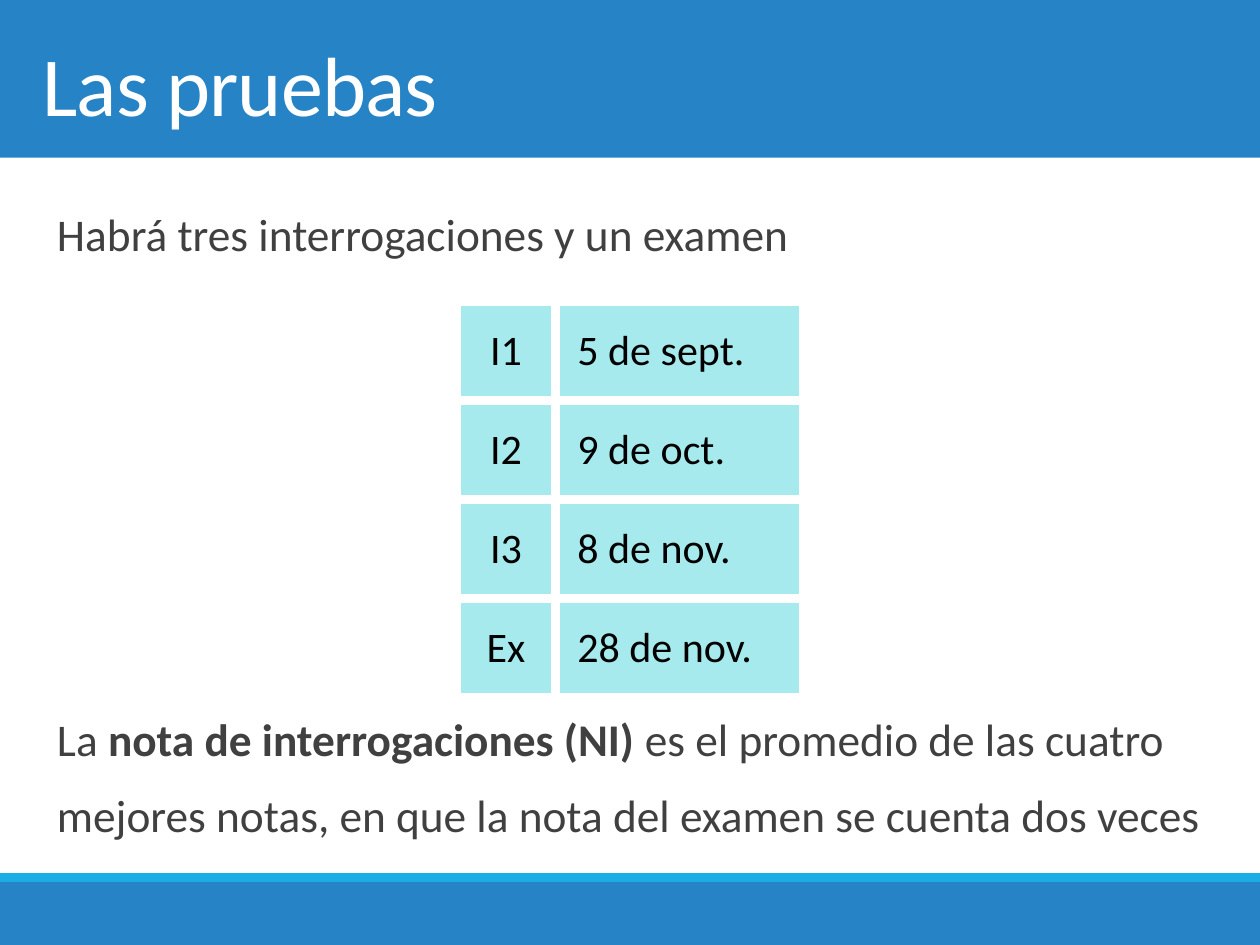
from lxml import etree
from pptx import Presentation
from pptx.dml.color import RGBColor
from pptx.enum import shapes, text
from pptx.oxml import ns
from pptx.util import Cm, Pt

BLUE = RGBColor(0x26, 0x83, 0xC6)
CYAN = RGBColor(0x1C, 0xAD, 0xE4)
AQUA = RGBColor(0xA6, 0xEA, 0xEE)
GREY = RGBColor(0x40, 0x40, 0x40)
WHITE = RGBColor(0xFF, 0xFF, 0xFF)
BLACK = RGBColor(0, 0, 0)
WIDTH = 25.4

DATES = [
    ("I1", "5 de sept."),
    ("I2", "9 de oct."),
    ("I3", "8 de nov."),
    ("Ex", "28 de nov."),
]


class Deck:
    font = "Calibri"

    def __init__(self, slide):
        self.slide = slide

    def style(self, run, size, color, bold=False):
        run.font.name = self.font
        run.font.size = Pt(size)
        run.font.color.rgb = color
        run.font.bold = bold

    def band(self, top, height, color):
        bar = self.slide.shapes.add_shape(
            shapes.MSO_SHAPE.RECTANGLE, 0, Cm(top), Cm(WIDTH), Cm(height))
        bar.shadow.inherit = False
        bar.fill.solid()
        bar.fill.fore_color.rgb = color
        bar.line.fill.background()

    def frame(self, left, top, width, height):
        """Add a wrapping text box without margins."""
        box = self.slide.shapes.add_textbox(
            Cm(left), Cm(top), Cm(width), Cm(height)).text_frame
        box.word_wrap = True
        box.margin_left = box.margin_right = 0
        box.margin_top = box.margin_bottom = 0
        return box

    def title(self, words):
        box = self.frame(0.86, 0.09, 23.5, 3.18)
        box.vertical_anchor = text.MSO_ANCHOR.MIDDLE
        box.text = words
        run = box.paragraphs[0].runs[0]
        self.style(run, 48, WHITE)
        run.font._element.set("spc", "-50")

    def body(self, top, height, *parts):
        """Add a paragraph from (words, bold) parts."""
        para = self.frame(1.15, top, 23.45, height).paragraphs[0]
        para.line_spacing = 1.4
        for words, bold in parts:
            run = para.add_run()
            run.text = words
            self.style(run, 25.9, GREY, bold)

    def border(self, cell, color, width):
        props = cell._tc.get_or_add_tcPr()
        for i, side in enumerate(("lnL", "lnR", "lnT", "lnB")):
            line = etree.Element(ns.qn("a:" + side), w=str(Pt(width)))
            fill = etree.SubElement(line, ns.qn("a:solidFill"))
            etree.SubElement(fill, ns.qn("a:srgbClr"), val=str(color))
            props.insert(i, line)

    def table(self, left, top, rows, widths, height):
        grid = self.slide.shapes.add_table(
            len(rows), len(widths), Cm(left), Cm(top),
            Cm(sum(widths)), Cm(height * len(rows))).table
        grid.first_row = grid.horz_banding = False
        for col, width in zip(grid.columns, widths):
            col.width = Cm(width)
        for r, row in enumerate(rows):
            grid.rows[r].height = Cm(height)
            for c, words in enumerate(row):
                cell = grid.cell(r, c)
                cell.text = words
                cell.vertical_anchor = text.MSO_ANCHOR.MIDDLE
                cell.fill.solid()
                cell.fill.fore_color.rgb = AQUA
                self.border(cell, WHITE, 6)
                para = cell.text_frame.paragraphs[0]
                self.style(para.runs[0], 24, BLACK)
                if c == 0:
                    para.alignment = text.PP_ALIGN.CENTER
                else:
                    cell.margin_left = Cm(0.44)


def main():
    show = Presentation()
    show.slide_width, show.slide_height = Cm(WIDTH), Cm(19.05)
    deck = Deck(show.slides.add_slide(show.slide_layouts[6]))

    deck.band(0, 3.18, BLUE)
    deck.band(17.78, 1.27, BLUE)
    deck.band(17.6, 0.18, CYAN)
    deck.title("Las pruebas")
    deck.body(3.72, 1.6, ("Habrá tres interrogaciones y un examen", False))
    deck.body(
        13.9, 3.2,
        ("La ", False),
        ("nota de interrogaciones (NI) ", True),
        ("es el promedio de las cuatro mejores notas, "
         "en que la nota del examen se cuenta dos veces", False))
    deck.table(9.2, 6.07, DATES, (2, 5), 2)
    show.save("out.pptx")


if __name__ == "__main__":
    main()
